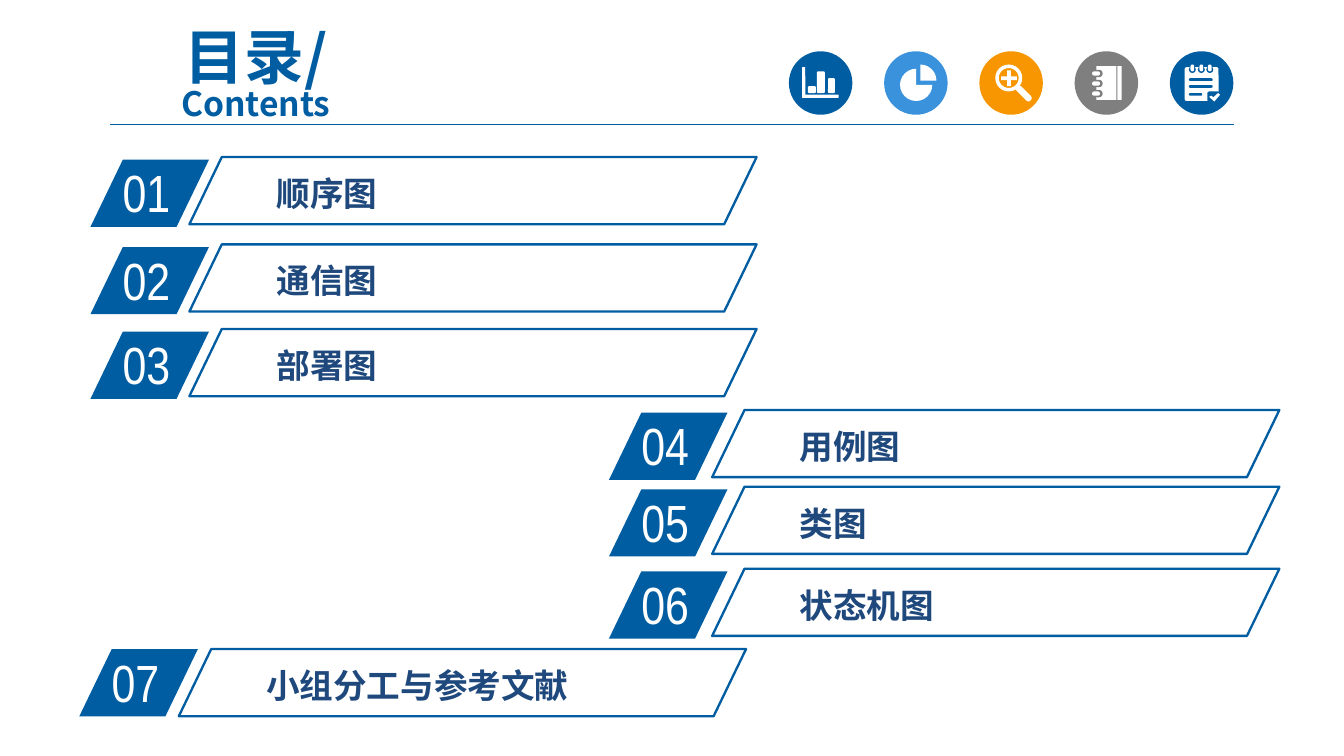
from lxml import etree
from pptx import Presentation
from pptx.dml.color import RGBColor
from pptx.enum import shapes, text
from pptx.oxml import ns
from pptx.util import Cm, Pt

HUE = {"blue": "005DA2", "rule": "005B9E", "sky": "3992DB", "gold": "F79600",
       "gray": "7F7F7F", "navy": "1F497D", "white": "FFFFFF"}
HAN, SLIM = "Noto Sans CJK SC", "Arial Narrow"
KIND = shapes.MSO_SHAPE
BAR, ROUND = KIND.RECTANGLE, KIND.ROUNDED_RECTANGLE
SLANT = 0.482

LEFT, RIGHT, LAST = (1.71, 3.58), (11.51, 13.46), (1.5, 3.38)
ROWS = [("顺序图", LEFT, 2.97, 0.05), ("通信图", LEFT, 4.62, 0.05),
        ("部署图", LEFT, 6.22, 0.05), ("用例图", RIGHT, 7.75, 0.05),
        ("类图", RIGHT, 9.2, 0.05), ("状态机图", RIGHT, 10.75, 0.05),
        ("小组分工与参考文献", LAST, 12.27, 0)]

# Icon parts: kind, left, top, width, height within the disc, then options
CHART = [(ROUND, 0.25, 0.3, 0.06, 0.58), (ROUND, 0.25, 0.82, 0.69, 0.06),
         (ROUND, 0.36, 0.66, 0.15, 0.13), (ROUND, 0.53, 0.38, 0.15, 0.41),
         (ROUND, 0.74, 0.51, 0.13, 0.28)]
PIE = [(KIND.PIE, 0.3, 0.33, 0.61, 0.61),
       (KIND.PIE, 0.38, 0.25, 0.61, 0.61, {"adj": (162, 0)})]
LENS = [(KIND.DONUT, 0.3, 0.25, 0.51, 0.51, {"adj": (0.13,)}),
        (KIND.CROSS, 0.41, 0.36, 0.3, 0.3, {"adj": (0.38,)}),
        (ROUND, 0.66, 0.74, 0.36, 0.12, {"adj": (0.4,), "turn": 45})]
BOOK = [(BAR, 0.41, 0.28, 0.38, 0.64), (BAR, 0.81, 0.28, 0.08, 0.64)]
for top in (0.38, 0.57, 0.76):
    BOOK += [(ROUND, 0.36, top - 0.03, 0.17, 0.14, {"fill": "gray", "adj": (0.5,)}),
             (ROUND, 0.33, top, 0.15, 0.08, {"adj": (0.5,)})]
NOTE = [(ROUND, 0.28, 0.3, 0.64, 0.64, {"adj": (0.06,)})]
for left in (0.36, 0.53, 0.69):
    NOTE += [(ROUND, left, 0.28, 0.13, 0.13, {"fill": "blue", "adj": (0.5,)}),
             (ROUND, left + 0.03, 0.25, 0.07, 0.13, {"adj": (0.5,)})]
for top, wide in ((0.51, 0.45), (0.64, 0.45), (0.79, 0.25)):
    NOTE.append((ROUND, 0.36, top, wide, 0.05, {"fill": "blue", "adj": (0.5,)}))
NOTE.append((ROUND, 0.71, 0.76, 0.24, 0.2, {"fill": "blue"}))
TICK = [(0.74, 0.86), (0.79, 0.84), (0.82, 0.87), (0.91, 0.79), (0.95, 0.82), (0.84, 0.95)]

ICONS = [("blue", CHART), ("sky", PIE), ("gold", LENS), ("gray", BOOK), ("blue", NOTE)]


def tint(name):
    return RGBColor.from_string(HUE[name])


def paint(item, fill=None, line=None):
    item.shadow.inherit = False
    if fill:
        item.fill.solid()
        item.fill.fore_color.rgb = tint(fill)
    else:
        item.fill.background()
    if line:
        item.line.color.rgb = tint(line)
        item.line.width = Pt(1.25)
    else:
        item.line.fill.background()


def shape(slide, kind, x, y, w, h, fill=None, line=None, adj=(), turn=0):
    item = slide.shapes.add_shape(kind, Cm(x), Cm(y), Cm(w), Cm(h))
    for i, value in enumerate(adj):
        item.adjustments[i] = value
    item.rotation = turn
    paint(item, fill, line)


def style(run, size, color, face, bold=False):
    font = run.font
    font.size, font.bold, font.name = Pt(size), bold, face
    font.color.rgb = tint(color)
    east = etree.SubElement(run._r.get_or_add_rPr(), ns.qn("a:ea"))
    east.set("typeface", face)


def write(slide, words, x, y, w, h, size, color, face, bold=False, align=None, pad=None):
    frame = slide.shapes.add_textbox(Cm(x), Cm(y), Cm(w), Cm(h)).text_frame
    frame.word_wrap = True
    if pad:
        frame.margin_left = frame.margin_right = Cm(pad[0])
        frame.margin_top = frame.margin_bottom = Cm(pad[1])
    para = frame.paragraphs[0]
    para.alignment = align
    run = para.add_run()
    run.text = words
    style(run, size, color, face, bold)


def title(slide):
    head = slide.shapes.title
    head.left, head.top, head.width, head.height = Cm(1.7), Cm(0.79), Cm(6.27), Cm(1.37)
    frame = head.text_frame
    frame.auto_size = text.MSO_AUTO_SIZE.NONE
    frame.vertical_anchor = text.MSO_ANCHOR.MIDDLE
    para = frame.paragraphs[0]
    para.alignment = text.PP_ALIGN.CENTER
    para.space_before, para.line_spacing = Pt(6.4), 0.8
    run = para.add_run()
    run.text = "目录/"
    style(run, 32, "blue", HAN, True)
    para.add_line_break()
    run = para.add_run()
    run.text = "Contents"
    style(run, 18, "blue", HAN, True)


def rule(slide):
    line = slide.shapes.add_connector(
        shapes.MSO_CONNECTOR.STRAIGHT, Cm(2.08), Cm(2.35), Cm(23.32), Cm(2.35))
    line.line.color.rgb = tint("rule")
    line.line.width = Pt(0.75)
    etree.SubElement(line._element.spPr, ns.qn("a:effectLst"))


def icon(slide, x, y, color, parts):
    shape(slide, KIND.OVAL, x, y, 1.2, 1.2, fill=color)
    for kind, left, top, w, h, *more in parts:
        look = {"fill": "white", **(more[0] if more else {})}
        shape(slide, kind, x + left, y + top, w, h, **look)


def tick(slide, x, y):
    dots = [(Cm(x + a), Cm(y + b)) for a, b in TICK]
    pen = slide.shapes.build_freeform(*dots[0])
    pen.add_line_segments(dots[1:])
    paint(pen.convert_to_shape(), "white")


def entry(slide, num, words, cols, y, drop):
    """Draw one contents row; drop is how far the number tile sits below the frame."""
    tile, box = cols
    shape(slide, KIND.PARALLELOGRAM, tile, y + drop, 2.24, 1.27, fill="blue", adj=(SLANT,))
    write(slide, f"{num:02}", tile + 0.36, y + drop - 0.11, 2.13, 1.35, 28, "white", SLIM)
    write(slide, words, box + 1.47, y + 0.2, 7.85, 0.97, 18, "navy", HAN, bold=True,
          align=text.PP_ALIGN.JUSTIFY, pad=(0.18, 0.1))
    shape(slide, KIND.PARALLELOGRAM, box, y, 10.72, 1.27, line="blue", adj=(SLANT,))


def main():
    deck = Presentation()
    deck.slide_width, deck.slide_height = Cm(25.4), Cm(14.29)
    slide = deck.slides.add_slide(deck.slide_layouts[5])
    title(slide)
    rule(slide)
    for num, row in enumerate(ROWS, 1):
        entry(slide, num, *row)
    for i, (color, parts) in enumerate(ICONS):
        icon(slide, 14.91 + 1.8 * i, 0.97, color, parts)
    tick(slide, 22.11, 0.97)
    deck.save("out.pptx")


if __name__ == "__main__":
    main()
